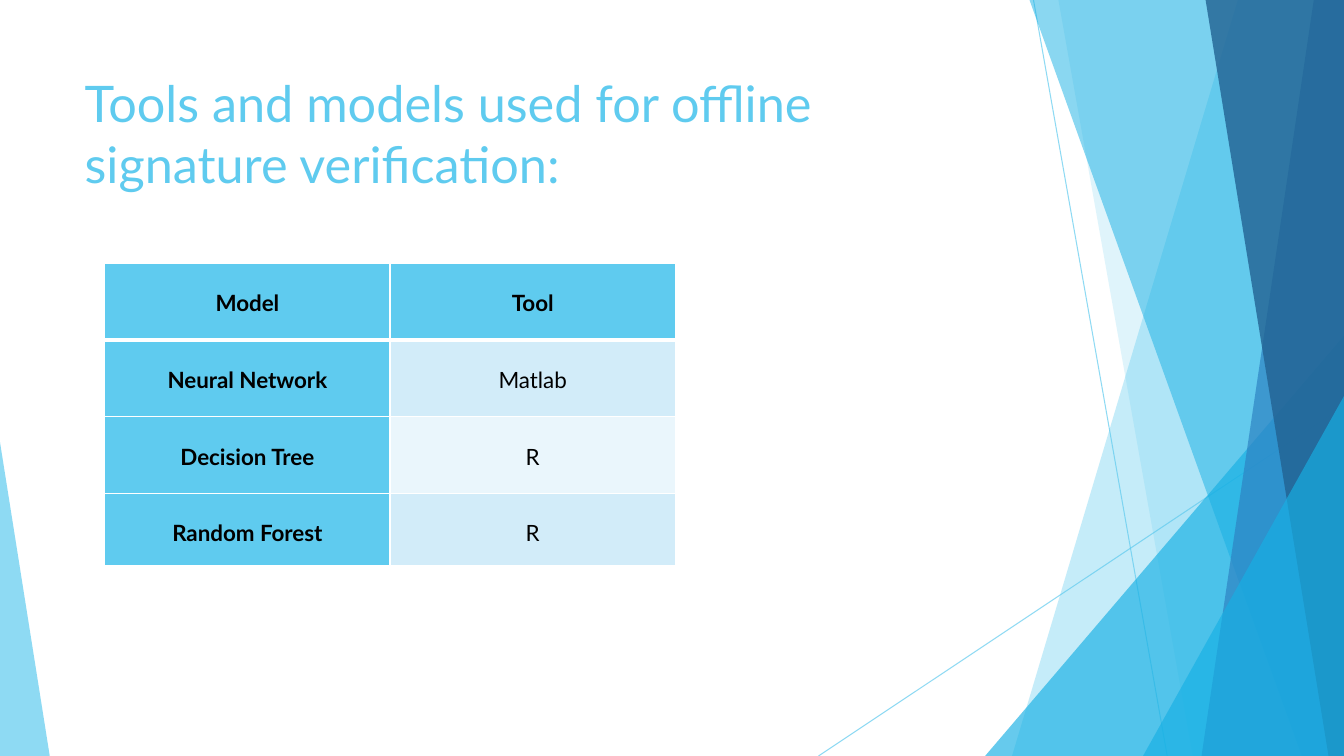
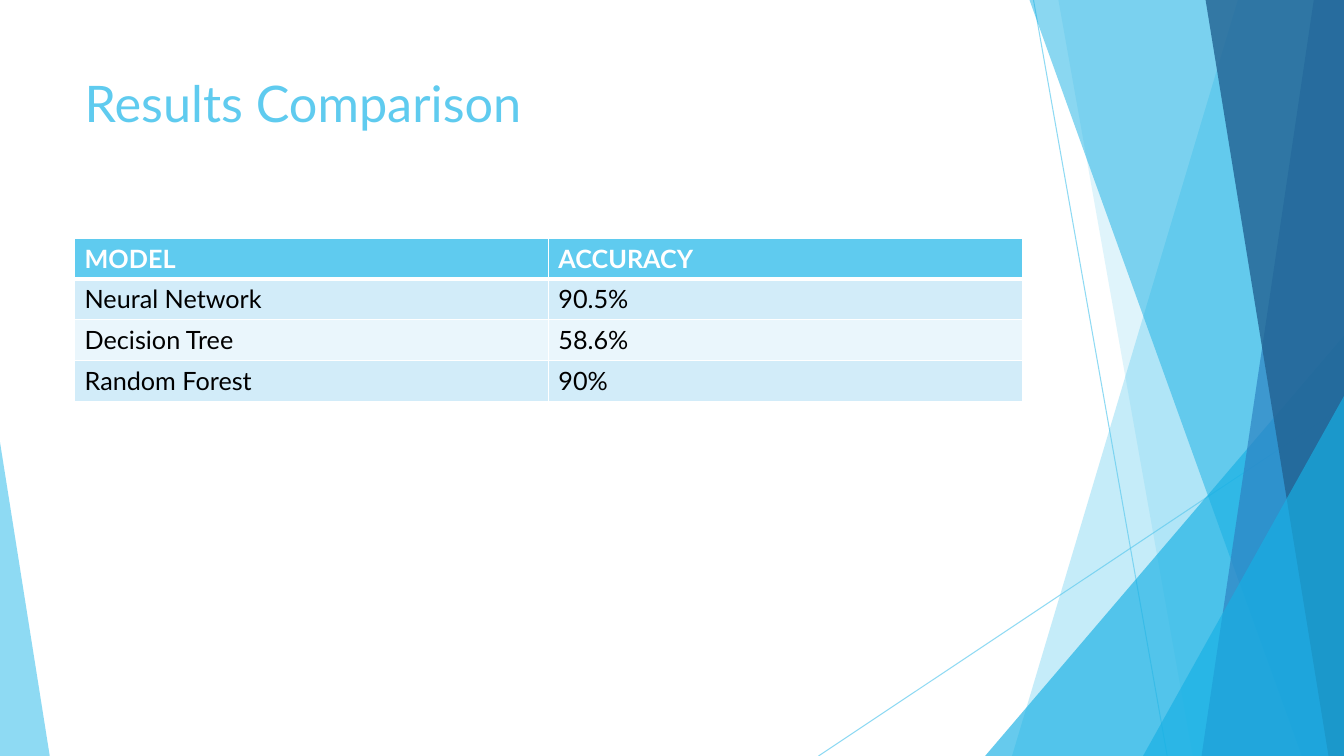
import dataclasses

import lxml.etree
import pptx
import pptx.dml.color
import pptx.enum.shapes
import pptx.enum.text
import pptx.oxml
import pptx.oxml.ns
import pptx.util


@dataclasses.dataclass(frozen=True)
class Theme:
    """Colours, font and type sizes of the deck."""
    font: str = "Lato"
    sky: str = "5FCBEF"
    cyan: str = "17B0E4"
    blue: str = "2E83C3"
    navy: str = "226292"
    tint: str = "D2ECF9"
    pale: str = "EAF6FC"
    white: str = "FFFFFF"
    black: str = "000000"
    title_size: int = 36
    table_size: int = 18
    compact_size: int = 16
    hairline: float = 0.75
    cell_rule: int = 1
    header_rule: int = 3


class Slides:
    """Holds the theme and current page; lengths are percentages of the slide's size."""

    def __init__(self, theme):
        """Start a widescreen deck."""
        self.theme = theme
        self.deck = pptx.Presentation()
        self.deck.slide_width = pptx.util.Inches(13.33)
        self.deck.slide_height = pptx.util.Inches(7.5)
        self.layout = self.deck.slide_layouts[5]
        self.page = None

    def across(self, share):
        """Turn a percentage of the width into a length."""
        return round(self.deck.slide_width * share / 100)

    def down(self, share):
        """Turn a percentage of the height into a length."""
        return round(self.deck.slide_height * share / 100)

    def frame(self, left, top, width, height):
        """Turn four percentages into a position and size."""
        return self.across(left), self.down(top), self.across(width), self.down(height)

    def colour(self, value):
        """Turn a hex value into a colour."""
        return pptx.dml.color.RGBColor.from_string(value)

    def opacity(self, shape, percent):
        """Set the opacity of every colour in a shape."""
        for node in shape.element.spPr.iter(pptx.oxml.ns.qn("a:srgbClr")):
            alpha = lxml.etree.SubElement(node, pptx.oxml.ns.qn("a:alpha"))
            alpha.set("val", str(percent * 1000))

    def paint(self, shape, colour, percent):
        """Give a shape a translucent fill without line or shadow."""
        shape.shadow.inherit = False
        shape.fill.solid()
        shape.fill.fore_color.rgb = self.colour(colour)
        shape.line.fill.background()
        self.opacity(shape, percent)

    def ray(self, x1, y1, x2, y2):
        """Draw a thin line across the backdrop."""
        line = self.page.shapes.add_connector(
            pptx.enum.shapes.MSO_CONNECTOR.STRAIGHT,
            self.across(x1), self.down(y1), self.across(x2), self.down(y2))
        line.line.color.rgb = self.colour(self.theme.sky)
        line.line.width = pptx.util.Pt(self.theme.hairline)
        self.opacity(line, 70)
        lxml.etree.SubElement(line.element.spPr, pptx.oxml.ns.qn("a:effectLst"))

    def band(self, top_x, bottom_x, colour, percent):
        """Draw a full-height band with a slanted left side, ending at the right edge."""
        builder = self.page.shapes.build_freeform(self.across(top_x), 0)
        corners = [(100, 0), (100, 100), (bottom_x, 100)]
        builder.add_line_segments([(self.across(x), self.down(y)) for x, y in corners])
        self.paint(builder.convert_to_shape(), colour, percent)

    def wedge(self, left, top, width, apex, colour, percent):
        """Draw a triangle standing on the bottom edge."""
        triangle = self.page.shapes.add_shape(
            pptx.enum.shapes.MSO_SHAPE.ISOSCELES_TRIANGLE,
            *self.frame(left, top, width, 100 - top))
        triangle.adjustments[0] = apex
        self.paint(triangle, colour, percent)

    def backdrop(self):
        """Draw the shared facets and move them to the layout."""
        theme = self.theme
        self.ray(76.9, 0, 86.85, 100)
        self.ray(100, 53.7, 60.9, 100)
        self.band(92.1, 75.3, theme.sky, 36)
        self.band(78.75, 88.75, theme.sky, 20)
        self.wedge(73.3, 44.4, 26.7, 1, theme.cyan, 66)
        self.band(76.6, 96.85, theme.cyan, 50)
        self.band(97.75, 89.4, theme.blue, 70)
        self.band(89.7, 98.85, theme.navy, 80)
        self.wedge(85.05, 52.4, 14.95, 1, theme.cyan, 66)
        self.wedge(0, 58.5, 3.7, 0, theme.sky, 70)
        tree = self.layout.shapes.element
        for shape in list(self.page.shapes):
            if not shape.is_placeholder:
                tree.append(shape.element)
        for number, node in enumerate(tree.iter(pptx.oxml.ns.qn("p:cNvPr")), 1):
            node.set("id", str(number))

    def style(self, para, size, colour, bold=False):
        """Format the runs of a paragraph."""
        for span in para.runs:
            span.font.name = self.theme.font
            span.font.size = pptx.util.Pt(size)
            span.font.bold = bold
            span.font.color.rgb = self.colour(colour)

    def start(self, title):
        """Add a page with its title."""
        first = self.page is None
        self.page = self.deck.slides.add_slide(self.layout)
        if first:
            self.backdrop()
        box = self.page.shapes.title
        box.left, box.top, box.width, box.height = self.frame(5.55, 8.9, 70.5, 19.2)
        box.text_frame.text = title
        box.text_frame.word_wrap = True
        box.text_frame.auto_size = pptx.enum.text.MSO_AUTO_SIZE.NONE
        box.text_frame.vertical_anchor = pptx.enum.text.MSO_ANCHOR.TOP
        para = box.text_frame.paragraphs[0]
        para.alignment = pptx.enum.text.PP_ALIGN.LEFT
        self.style(para, self.theme.title_size, self.theme.sky)

    def borders(self, cell, top, bottom):
        """Give a cell white rules of the given widths."""
        side = self.theme.cell_rule
        properties = cell._tc.get_or_add_tcPr()
        widths = {"lnL": side, "lnR": side, "lnT": top, "lnB": bottom}
        for place, (name, width) in enumerate(widths.items()):
            properties.insert(place, pptx.oxml.parse_xml(
                f'<a:{name} {pptx.oxml.ns.nsdecls("a")} w="{pptx.util.Pt(width)}">'
                f'<a:solidFill><a:srgbClr val="{self.theme.white}"/></a:solidFill></a:{name}>'))

    def table(self, rows, left, top, width, heights, compact=False):
        """Add a banded table; the compact style is centred with a strong first column."""
        theme = self.theme
        grid = self.page.shapes.add_table(
            len(rows), len(rows[0]), *self.frame(left, top, width, sum(heights))).table
        for row, height in zip(grid.rows, heights):
            row.height = self.down(height)
        for r, texts in enumerate(rows):
            for c, text in enumerate(texts):
                cell = grid.cell(r, c)
                strong = r == 0 or (compact and c == 0)
                cell.fill.solid()
                cell.fill.fore_color.rgb = self.colour(
                    theme.sky if strong else theme.tint if r % 2 else theme.pale)
                self.borders(cell, theme.header_rule if r == 1 else theme.cell_rule,
                             theme.header_rule if r == 0 else theme.cell_rule)
                cell.text_frame.text = text
                para = cell.text_frame.paragraphs[0]
                if compact:
                    cell.margin_left = cell.margin_right = pptx.util.Inches(0.07)
                    cell.margin_top = cell.margin_bottom = 0
                    para.alignment = pptx.enum.text.PP_ALIGN.CENTER
                    para.line_spacing = 2.0
                self.style(para, theme.compact_size if compact else theme.table_size,
                           theme.white if strong and not compact else theme.black, strong)


def main():
    """Build and save the deck."""
    slides = Slides(Theme())

    slides.start("Tools and models used for offline signature verification:")
    tools = [("Model", "Tool"), ("Neural Network", "Matlab"),
             ("Decision Tree", "R"), ("Random Forest", "R")]
    slides.table(tools, 7.8, 34.8, 42.45, [10.15] * 3 + [9.6], compact=True)

    slides.start("Results Comparison")
    results = [("MODEL", "ACCURACY"), ("Neural Network", "90.5%"),
               ("Decision Tree", "58.6%"), ("Random Forest", "90%")]
    slides.table(results, 5.55, 31.5, 70.5, [5.4] * 4)

    slides.deck.save("out.pptx")


if __name__ == "__main__":
    main()
